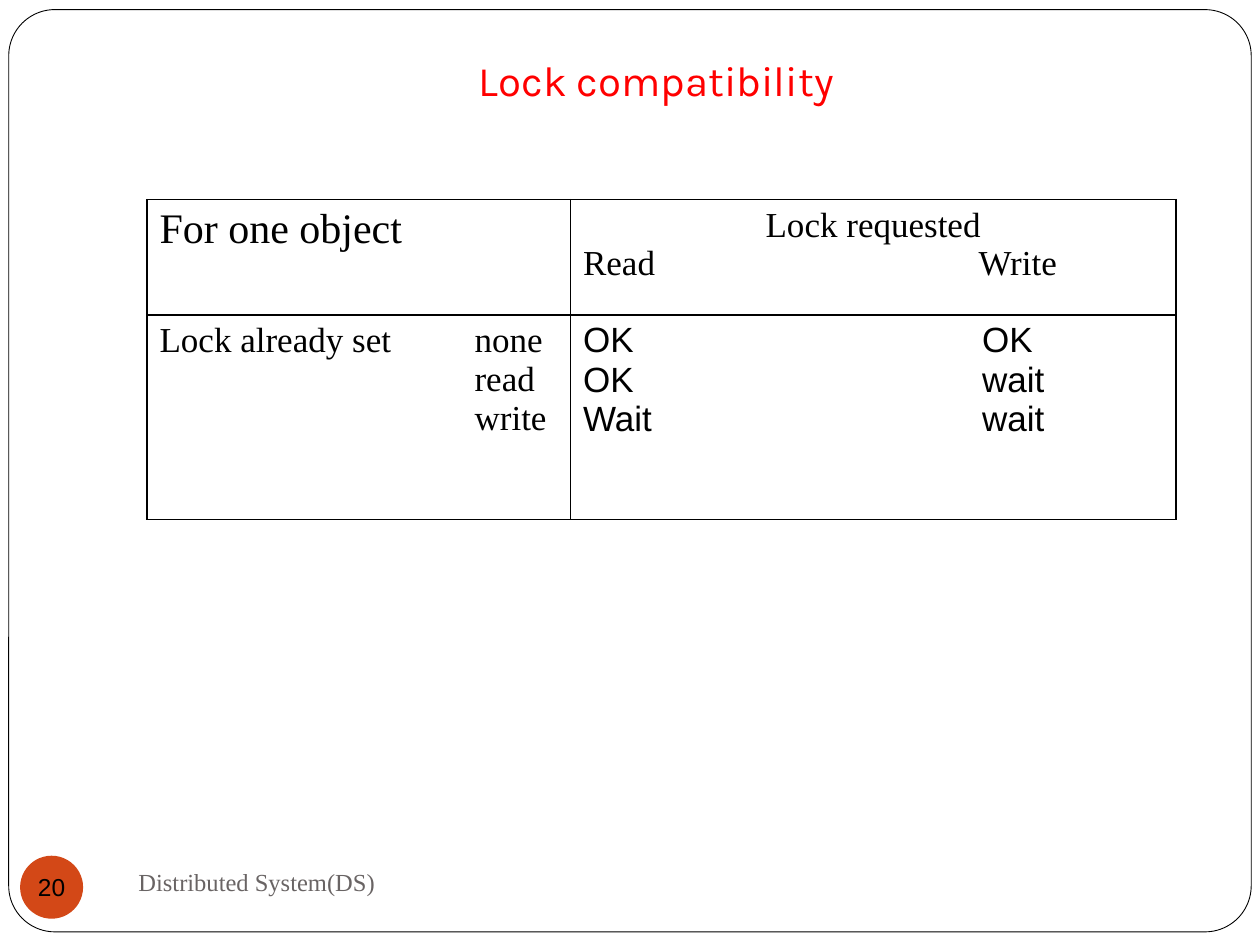
from lxml.etree import SubElement
from pptx import Presentation
from pptx.dml.color import RGBColor
from pptx.enum.shapes import MSO_SHAPE as Shape
from pptx.enum.text import MSO_ANCHOR as Anchor, PP_ALIGN as Align
from pptx.oxml.ns import qn
from pptx.util import Pt

SERIF, SANS, TITLE_FONT = "Times New Roman", "Arial", "Karla"
BLACK, WHITE = "000000", "FFFFFF"

COLUMN_WIDTHS = [242, 346]
ROW_HEIGHTS = [66, 117]
CELLS = [
    [
        {"lines": ["For one object"], "size": 24, "font": SERIF},
        {"lines": ["Lock requested", "Read\tWrite"], "size": 20, "font": SERIF,
         "tab": 226, "centered": 1},
    ],
    [
        {"lines": ["Lock already set\tnone", "\tread", "\twrite"], "size": 20,
         "font": SERIF, "tab": 180},
        {"lines": ["OK\tOK", "OK\twait", "Wait\twait"], "size": 20,
         "font": SANS, "tab": 228},
    ],
]


def color(value):
    return RGBColor.from_string(value)


def add_lines(frame, lines, size, font, text_color=BLACK, tab=None, centered=0):
    for index, line in enumerate(lines):
        paragraph = frame.paragraphs[0] if index == 0 else frame.add_paragraph()
        paragraph.alignment = Align.CENTER if index < centered else Align.LEFT
        if "\t" in line:
            stops = SubElement(paragraph._p.get_or_add_pPr(), qn("a:tabLst"))
            SubElement(stops, qn("a:tab"), pos=str(Pt(tab)), algn="l")
        run = paragraph.add_run()
        run.text = line
        run.font.size = Pt(size)
        run.font.name = font
        run.font.color.rgb = color(text_color)


def add_panel(slide, kind, box, fill):
    shape = slide.shapes.add_shape(kind, *map(Pt, box))
    shape.shadow.inherit = False
    shape.fill.solid()
    shape.fill.fore_color.rgb = color(fill)
    return shape


def add_label(slide, box, anchor, top_inset=3.6, bottom_inset=3.6):
    frame = slide.shapes.add_textbox(*map(Pt, box)).text_frame
    frame.word_wrap = True
    frame.vertical_anchor = anchor
    frame.margin_top = Pt(top_inset)
    frame.margin_bottom = Pt(bottom_inset)
    return frame


def set_borders(cell):
    properties = cell._tc.get_or_add_tcPr()
    for index, side in enumerate(("lnL", "lnR", "lnT", "lnB")):
        line = SubElement(properties, qn(f"a:{side}"), w=str(Pt(1)))
        fill = SubElement(line, qn("a:solidFill"))
        SubElement(fill, qn("a:srgbClr"), val=BLACK)
        properties.remove(line)
        properties.insert(index, line)


def add_lock_table(slide):
    frame = slide.shapes.add_table(
        len(ROW_HEIGHTS), len(COLUMN_WIDTHS), Pt(84), Pt(114),
        Pt(sum(COLUMN_WIDTHS)), Pt(sum(ROW_HEIGHTS)))
    table = frame.table
    for column, width in zip(table.columns, COLUMN_WIDTHS):
        column.width = Pt(width)
    for row, height, contents in zip(table.rows, ROW_HEIGHTS, CELLS):
        row.height = Pt(height)
        for cell, content in zip(row.cells, contents):
            cell.fill.background()
            set_borders(cell)
            add_lines(cell.text_frame, **content)


def main():
    presentation = Presentation()
    presentation.slide_width, presentation.slide_height = Pt(720), Pt(540)
    slide = presentation.slides.add_slide(presentation.slide_layouts[6])

    border = add_panel(slide, Shape.ROUNDED_RECTANGLE, (5, 5.5, 710, 527), WHITE)
    border.adjustments[0] = 0.05
    border.line.color.rgb = color(BLACK)
    border.line.width = Pt(0.5)

    badge = add_panel(slide, Shape.OVAL, (11.5, 489, 36, 36), "D34817")
    badge.line.fill.background()
    number = badge.text_frame
    number.margin_left = number.margin_right = number.margin_top = number.margin_bottom = 0
    number.word_wrap = False
    number.vertical_anchor = Anchor.MIDDLE
    add_lines(number, ["20"], 14, SANS, centered=1)

    add_lock_table(slide)
    title = add_label(slide, (102, 24, 546, 36), Anchor.TOP, 7, 0)
    add_lines(title, ["Lock compatibility"], 24, TITLE_FONT, "FF0000", centered=1)
    footer = add_label(slide, (72, 486, 312, 36), Anchor.MIDDLE)
    add_lines(footer, ["Distributed System(DS)"], 14, SERIF, "696464")

    presentation.save("out.pptx")


if __name__ == "__main__":
    main()
